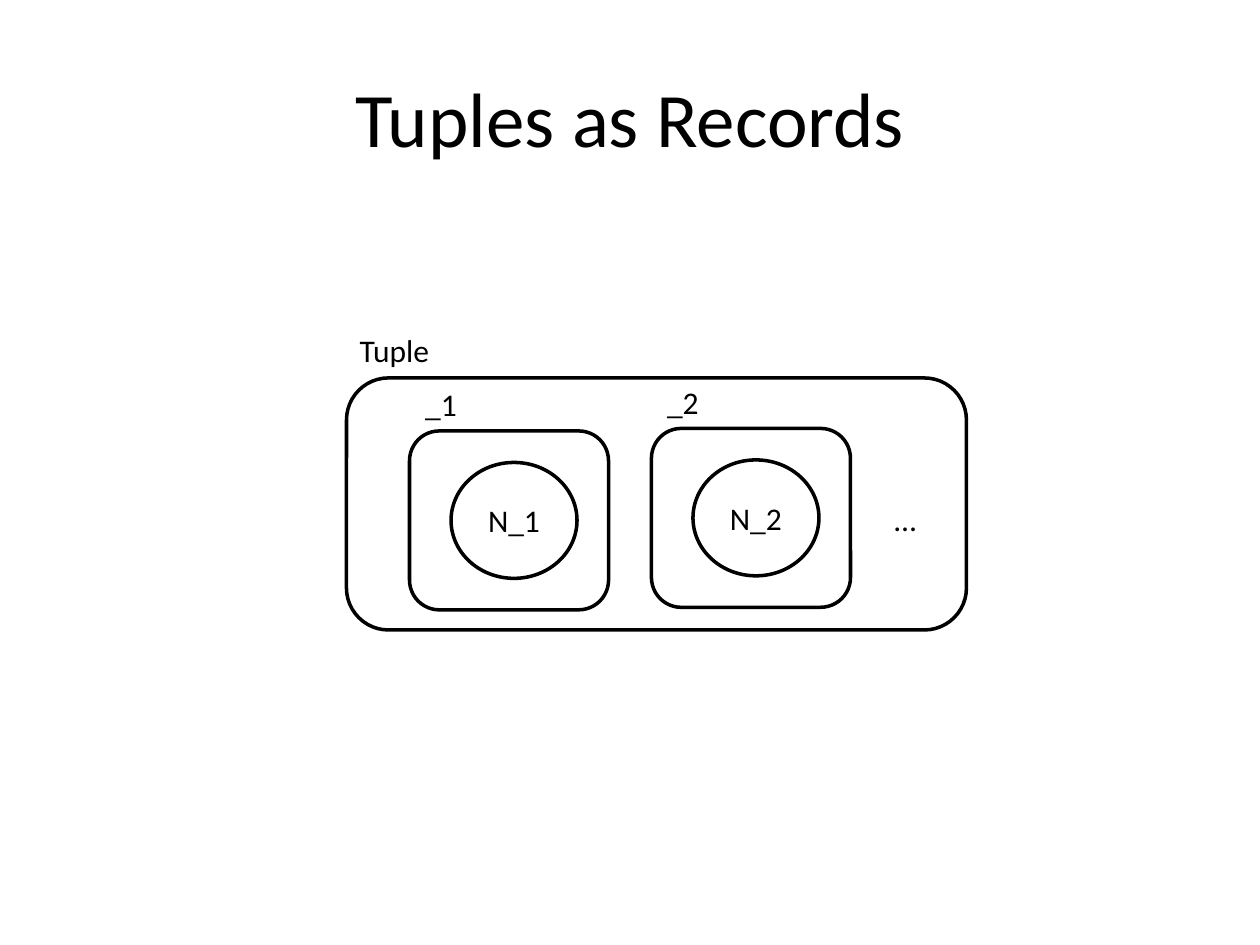
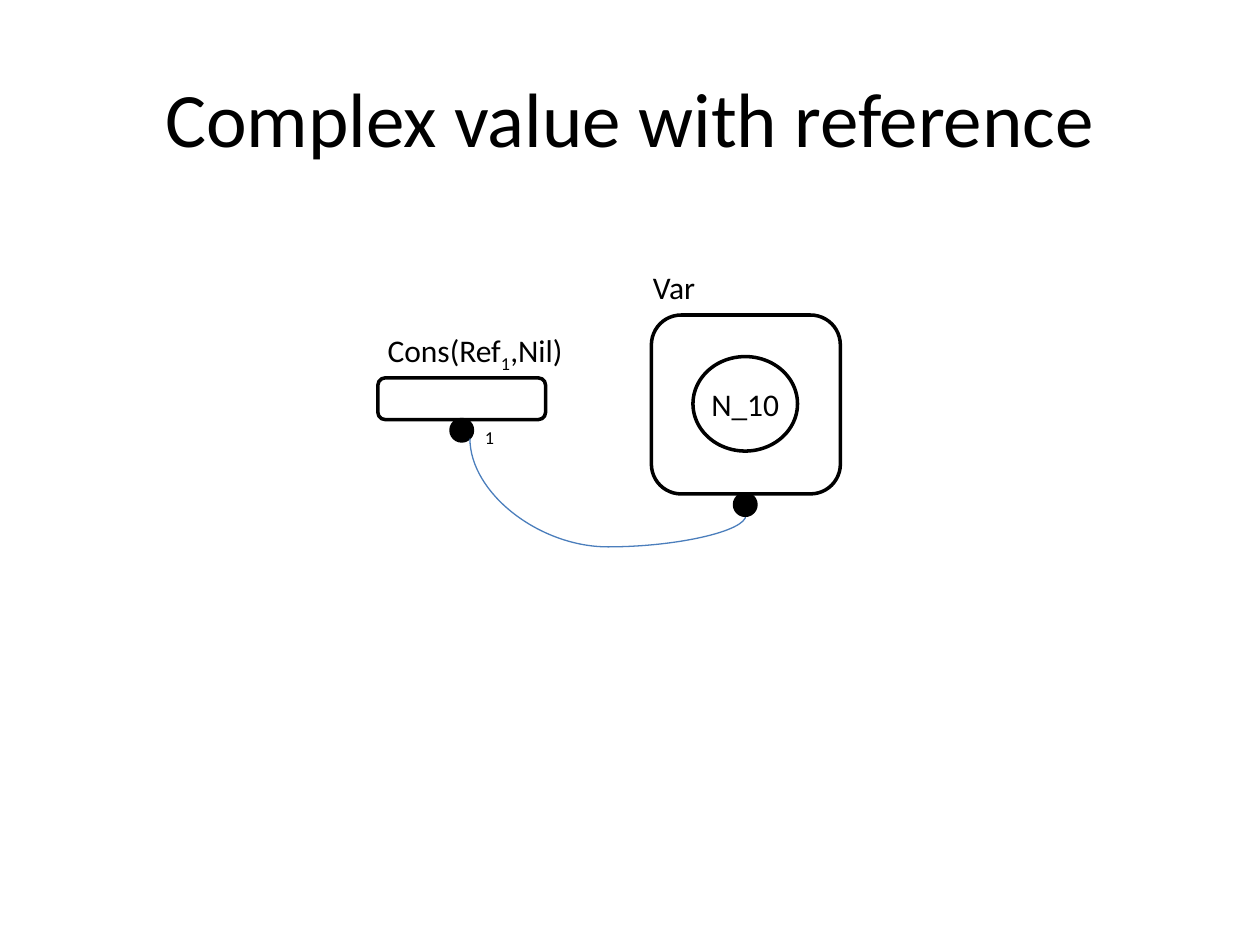
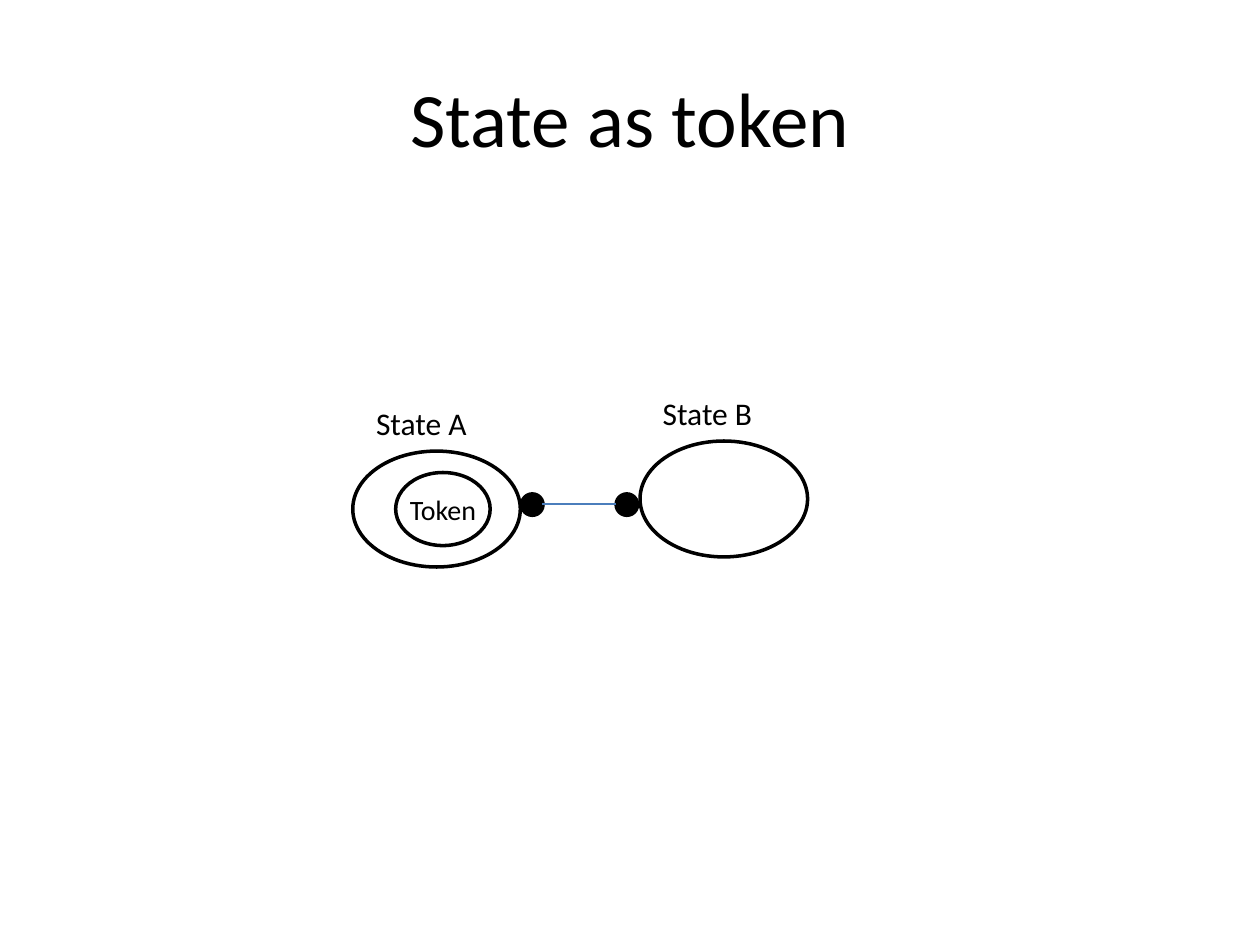
from dataclasses import dataclass

from lxml.etree import SubElement
from pptx import Presentation
from pptx.dml.color import RGBColor
from pptx.enum.shapes import MSO_CONNECTOR as Connector, MSO_SHAPE as Preset
from pptx.enum.text import MSO_ANCHOR as Anchor, MSO_AUTO_SIZE as AutoSize, PP_ALIGN as Align
from pptx.oxml.ns import qn
from pptx.util import Inches, Pt

COLORS = {"ink": "000000", "paper": "FFFFFF", "link": "4B7EBC"}
FONT = "Calibri"
LABEL_HEIGHT = 0.4
DOT = 0.17


@dataclass
class Box:
    left: float
    top: float
    width: float
    height: float

    def inner(self, left, top, width, height):
        return Box(self.left + left, self.top + top, width, height)

    def lengths(self):
        return [Inches(value) for value in (self.left, self.top, self.width, self.height)]


def color(name):
    return RGBColor.from_string(COLORS[name])


def write(frame, text, size, align=Align.CENTER):
    paragraph = frame.paragraphs[0]
    paragraph.alignment = align
    paragraph.font.name = FONT
    paragraph.font.size = Pt(size)
    paragraph.font.color.rgb = color("ink")
    for index, part in enumerate(text.split("~")):
        if part:
            run = paragraph.add_run()
            run.text = part
            if index % 2:
                run.font._element.set("baseline", "-25000")


def add_title(slide, box, text):
    frame = slide.shapes.add_textbox(*box.lengths()).text_frame
    frame.word_wrap = True
    frame.vertical_anchor = Anchor.MIDDLE
    write(frame, text, 44)


def add_label(slide, box, text, align=Align.CENTER):
    frame = slide.shapes.add_textbox(*box.lengths()).text_frame
    frame.word_wrap = False
    frame.auto_size = AutoSize.SHAPE_TO_FIT_TEXT
    write(frame, text, 18, align)


def add_outline(slide, preset, box, text="", size=18, inset=0.1, fill="paper"):
    shape = slide.shapes.add_shape(preset, *box.lengths())
    shape.shadow.inherit = False
    shape.fill.solid()
    shape.fill.fore_color.rgb = color(fill)
    shape.line.color.rgb = color("ink")
    shape.line.width = Pt(2)
    if text:
        frame = shape.text_frame
        frame.vertical_anchor = Anchor.MIDDLE
        frame.margin_left = frame.margin_right = Inches(inset)
        frame.margin_top = frame.margin_bottom = Inches(inset / 2)
        write(frame, text, size)


def add_dot(slide, left, top):
    add_outline(slide, Preset.OVAL, Box(left, top, DOT, DOT), fill="ink")


def add_curve(slide, begin, end, bend=0.5, quarter_turn=False):
    if quarter_turn:
        middle_x, middle_y = (begin[0] + end[0]) / 2, (begin[1] + end[1]) / 2
        half_width, half_height = (begin[1] - end[1]) / 2, (begin[0] - end[0]) / 2
        begin = (middle_x + half_width, middle_y - half_height)
        end = (middle_x - half_width, middle_y + half_height)
    points = [Inches(value) for value in (*begin, *end)]
    connector = slide.shapes.add_connector(Connector.CURVE, *points)
    connector.line.color.rgb = color("link")
    connector.line.width = Pt(0.75)
    properties = connector._element.spPr
    SubElement(properties, qn("a:effectLst"))
    if quarter_turn:
        properties.find(qn("a:xfrm")).set("rot", "5400000")
    adjustments = properties.find(qn("a:prstGeom")).find(qn("a:avLst"))
    SubElement(adjustments, qn("a:gd"), name="adj1", fmla=f"val {round(bend * 100000)}")


def add_field(slide, box, name, value):
    add_outline(slide, Preset.ROUNDED_RECTANGLE, box)
    add_label(slide, box.inner(0.02, -0.41, 0.46, LABEL_HEIGHT), name)
    add_outline(slide, Preset.OVAL, box.inner(0.33, 0.25, 1, 0.92), value)


def draw_tuple(slide, box):
    add_outline(slide, Preset.ROUNDED_RECTANGLE, box)
    add_label(slide, box.inner(0, -0.42, 0.76, LABEL_HEIGHT), "Tuple")
    for number, (left, top) in enumerate([(0.5, 0.42), (2.42, 0.4)], 1):
        add_field(slide, box.inner(left, top, 1.58, 1.42), f"_{number}", f"N_{number}")
    add_label(slide, box.inner(4.25, 0.92, 0.38, LABEL_HEIGHT), "…", Align.LEFT)


def draw_reference(slide, box):
    add_outline(slide, Preset.ROUNDED_RECTANGLE, box.inner(0, 0.5, 1.33, 0.33))
    add_label(slide, box.inner(-0.06, 0.08, 1.66, LABEL_HEIGHT), "Cons(Ref~1~,Nil)")
    variable = box.inner(2.17, 0, 1.5, 1.42)
    add_outline(slide, Preset.ROUNDED_RECTANGLE, variable)
    add_label(slide, variable.inner(-0.09, -0.42, 0.54, LABEL_HEIGHT), "Var")
    add_outline(slide, Preset.OVAL, variable.inner(0.33, 0.33, 0.83, 0.75), "N_10", inset=0)
    add_dot(slide, box.left + 0.58, box.top + 0.83)
    add_curve(slide, (box.left + 2.92, box.top + 1.59), (box.left + 0.73, box.top + 0.98),
              bend=-0.41, quarter_turn=True)
    add_dot(slide, box.left + 2.83, box.top + 1.42)
    add_label(slide, box.inner(0.75, 0.67, 0.29, LABEL_HEIGHT), "~1~", Align.LEFT)


def add_state(slide, box, name, label_left, dot_left, dot_top):
    add_outline(slide, Preset.OVAL, box)
    add_dot(slide, box.left + dot_left, box.top + dot_top)
    add_label(slide, box.inner(label_left, -0.42, 0.93, LABEL_HEIGHT), name)


def draw_states(slide, box):
    state_a = box.inner(0, 0.08, 1.33, 0.92)
    add_state(slide, state_a, "State A", 0.08, 1.34, 0.34)
    add_state(slide, box.inner(2.28, 0, 1.33, 0.92), "State B", 0.07, -0.19, 0.42)
    add_curve(slide, (box.left + 2.09, box.top + 0.5), (box.left + 1.5, box.top + 0.5))
    add_outline(slide, Preset.OVAL, state_a.inner(0.34, 0.17, 0.75, 0.58), "Token", 16, 0)


SLIDES = [
    ("Tuples as Records", draw_tuple, Box(2.75, 3, 4.92, 2)),
    ("Complex value with reference", draw_reference, Box(3, 2.5, 3.67, 1.83)),
    ("State as token", draw_states, Box(2.8, 3.5, 3.61, 1)),
]

presentation = Presentation()
presentation.slide_width = Inches(10)
presentation.slide_height = Inches(7.5)
for title, draw, box in SLIDES:
    slide = presentation.slides.add_slide(presentation.slide_layouts[6])
    add_title(slide, Box(0.5, 0.3, 9, 1.25), title)
    draw(slide, box)
presentation.save("out.pptx")
